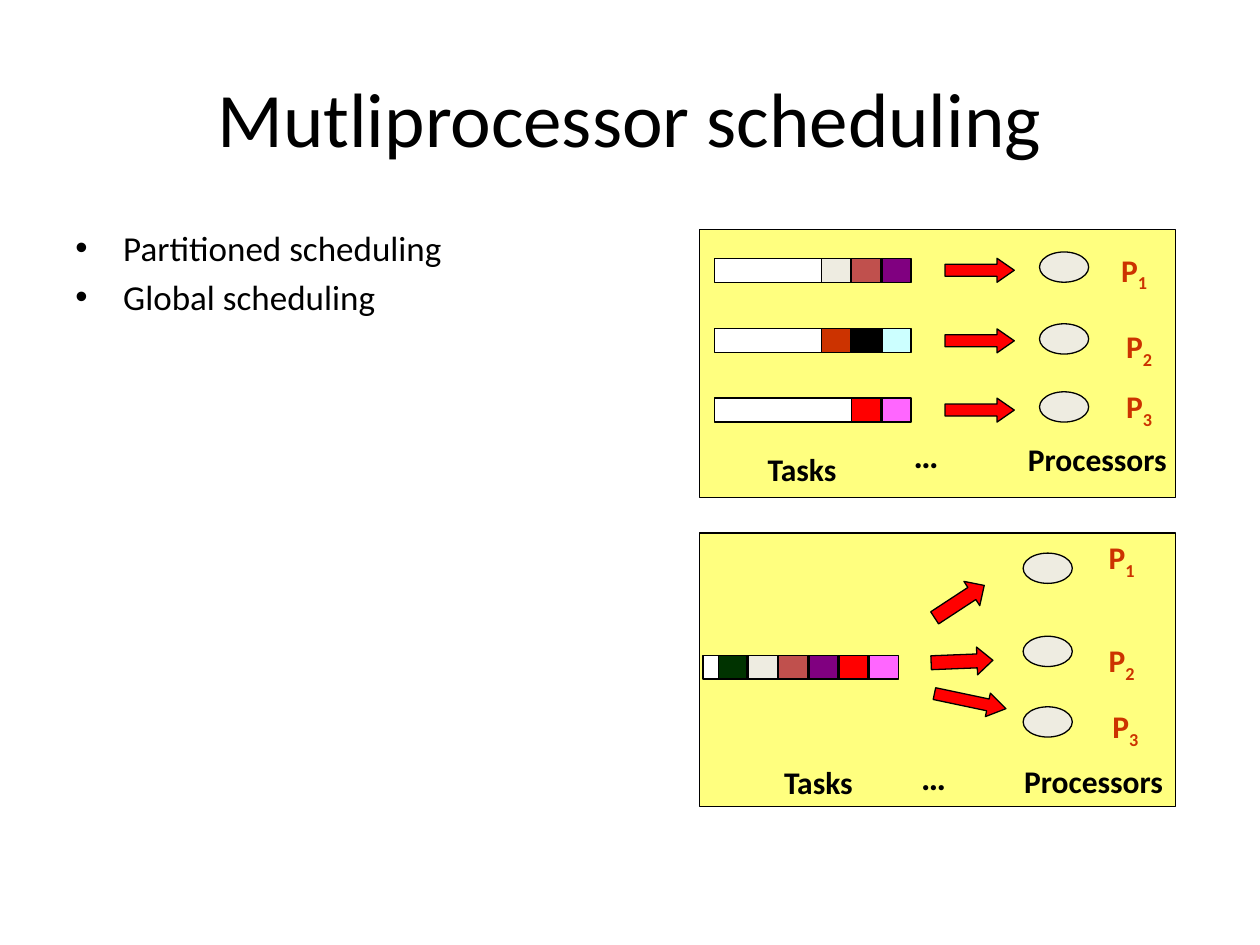
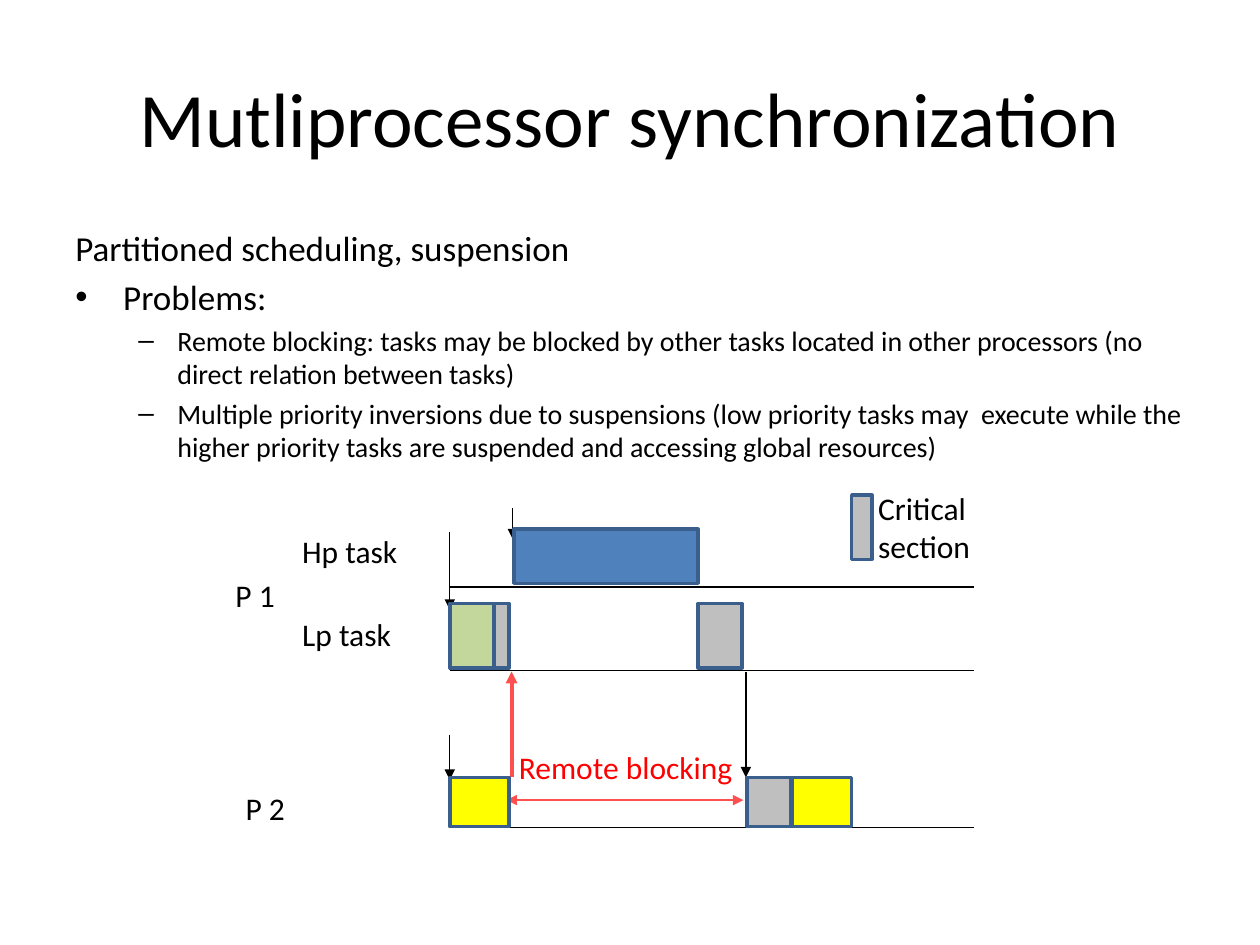
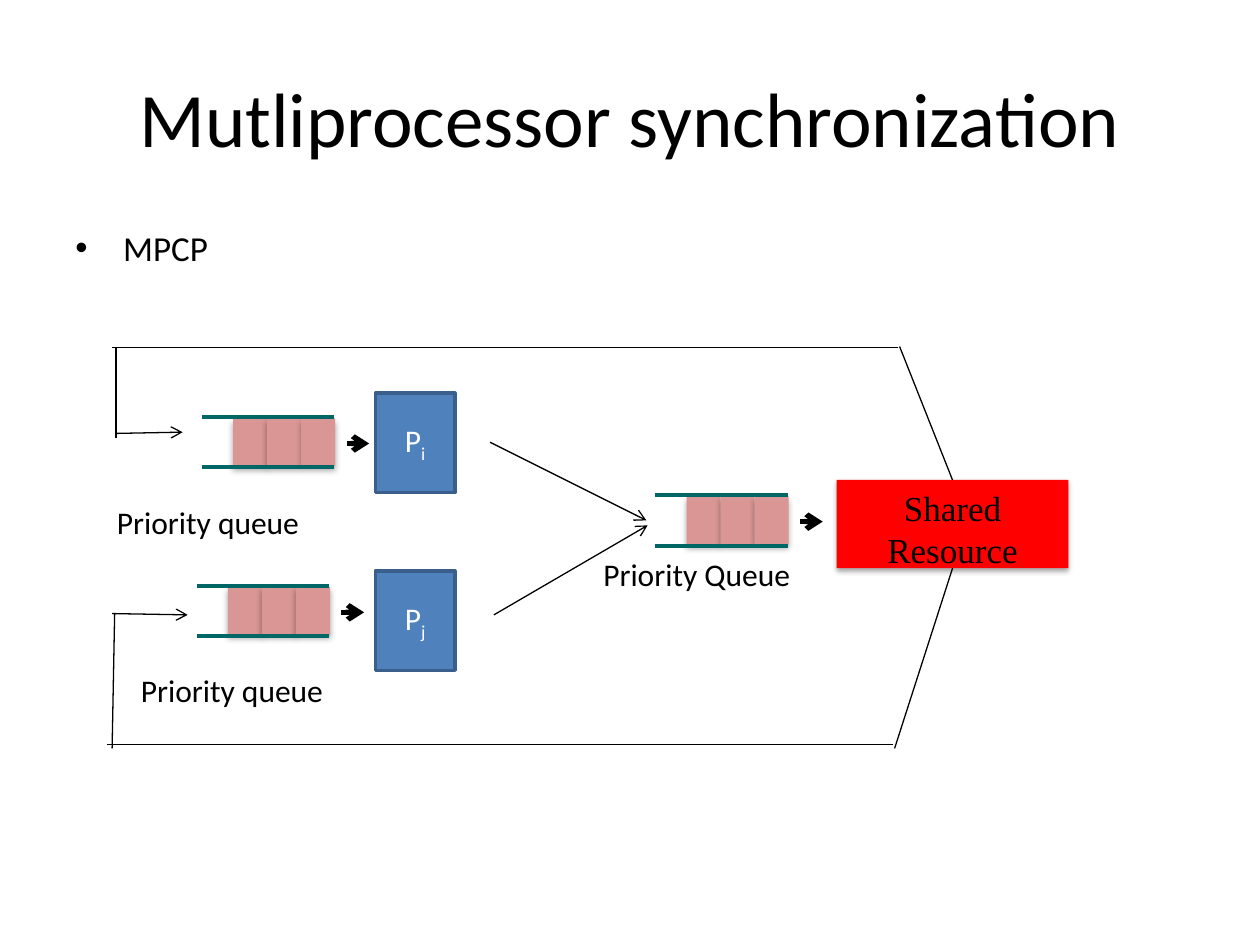
from dataclasses import dataclass

from lxml.etree import SubElement
from pptx import Presentation
from pptx.dml.color import RGBColor
from pptx.enum.shapes import MSO_CONNECTOR as Connector, MSO_SHAPE as Shape
from pptx.enum.text import MSO_ANCHOR as Anchor, MSO_AUTO_SIZE as AutoSize, PP_ALIGN as Align
from pptx.oxml.ns import qn
from pptx.util import Inches, Pt


@dataclass(frozen=True)
class Theme:
    """Colours, fonts and sizes shared by the slides."""
    font: str = "Calibri"
    serif: str = "Times New Roman"
    title_size: int = 44
    body_size: int = 20
    detail_size: int = 16
    label_size: int = 18
    thin: float = 0.75
    medium: float = 2
    rail: float = 2.25
    heavy: float = 3
    black: str = "000000"
    white: str = "FFFFFF"
    yellow: str = "FFFF00"
    red: str = "FF0000"
    rust: str = "CC3300"
    cream: str = "EEECE1"
    brick: str = "C0504D"
    purple: str = "800080"
    pink: str = "FF66FF"
    ice: str = "CCFFFF"
    forest: str = "003300"
    blue: str = "4F81BD"
    border: str = "3A5F8C"
    green: str = "C3D69B"
    grey: str = "BFBFBF"
    coral: str = "FF5050"
    rose: str = "D99694"
    teal: str = "006666"


THEME = Theme()


class Deck:
    """Draws styled elements on the current slide."""

    def __init__(self, theme):
        """Start an empty deck."""
        self.theme = theme
        self.presentation = Presentation()
        self.presentation.slide_width = Inches(10)
        self.presentation.slide_height = Inches(7.5)

    def start_slide(self, heading):
        """Add a slide with its title."""
        self.slide = self.presentation.slides.add_slide(self.presentation.slide_layouts[5])
        title = self.slide.shapes.title
        title.left, title.top, title.width, title.height = map(Inches, (0.5, 0.3, 9, 1.25))
        title.text_frame.vertical_anchor = Anchor.MIDDLE
        self.fill_text(title.text_frame, [heading], self.theme.title_size, align=Align.CENTER)

    def start_group(self):
        """Collect the following elements in a new group."""
        self.canvas = self.slide.shapes.add_group_shape().shapes

    def fill_text(self, frame, lines, size, color=THEME.black, bold=False, align=Align.LEFT, font=THEME.font):
        """Fill a frame line by line; an underscore starts a subscript."""
        for index, line in enumerate(lines):
            paragraph = frame.paragraphs[0] if index == 0 else frame.add_paragraph()
            base, _, subscript = line.partition("_")
            paragraph.text = base
            paragraph.alignment = align
            if subscript:
                lowered = paragraph.add_run()
                lowered.text = subscript
                lowered.font._element.set("baseline", "-25000")
            for run in paragraph.runs:
                run.font.name = font
                run.font.size = Pt(size)
                run.font.bold = bold
                run.font.color.rgb = RGBColor.from_string(color)

    def body(self, items):
        """Add the body text from pairs of bullet and wording."""
        frame = self.slide.shapes.add_textbox(*map(Inches, (0.5, 1.75, 9, 4.95))).text_frame
        frame.word_wrap = True
        self.fill_text(frame, [wording for _, wording in items], self.theme.body_size)
        for paragraph, (bullet, _) in zip(frame.paragraphs, items):
            detail = bullet == "–"
            size = self.theme.detail_size if detail else self.theme.body_size
            paragraph.level = int(detail)
            paragraph.space_before = Pt(0.2 * size)
            paragraph.runs[0].font.size = Pt(size)
            margin, indent = (0.81, -0.31) if detail else (0.38, -0.38)
            properties = paragraph._element.get_or_add_pPr()
            properties.set("marL", str(Inches(margin)))
            properties.set("indent", str(Inches(indent)))
            if bullet:
                SubElement(properties, qn("a:buFont"), typeface="Arial")
                SubElement(properties, qn("a:buChar"), char=bullet)
            else:
                SubElement(properties, qn("a:buNone"))

    def label(self, left, top, width, *lines, height=0.4, size=THEME.label_size, wrap=False, **style):
        """Add a text label."""
        frame = self.canvas.add_textbox(*map(Inches, (left, top, width, height))).text_frame
        frame.word_wrap = wrap
        frame.auto_size = AutoSize.SHAPE_TO_FIT_TEXT
        self.fill_text(frame, lines, size, **style)

    def shape(self, kind, left, top, width, height, fill, line=THEME.black, weight=THEME.thin, opacity=100):
        """Add a filled preset shape, outlined if a line colour is given."""
        figure = self.canvas.add_shape(kind, *map(Inches, (left, top, width, height)))
        figure.shadow.inherit = False
        figure.fill.solid()
        figure.fill.fore_color.rgb = RGBColor.from_string(fill)
        if opacity < 100:
            paint = figure._element.spPr.find(qn("a:solidFill"))[0]
            SubElement(paint, qn("a:alpha"), val=str(opacity * 1000))
        if line:
            figure.line.color.rgb = RGBColor.from_string(line)
            figure.line.width = Pt(weight)
        else:
            figure.line.fill.background()
        return figure

    def block(self, left, top, width, height, fill):
        """Add a rectangle with the blue border."""
        return self.shape(Shape.RECTANGLE, left, top, width, height, fill, self.theme.border, self.theme.medium)

    def shaded(self, left, top, width, height, fill, opacity, blur, distance):
        """Add a borderless rectangle with a shadow below it."""
        figure = self.shape(Shape.RECTANGLE, left, top, width, height, fill, line=None)
        effects = figure._element.spPr.find(qn("a:effectLst"))
        shadow = SubElement(effects, qn("a:outerShdw"), blurRad=str(Pt(blur)), dist=str(Pt(distance)),
                            dir="5400000", rotWithShape="0")
        tint = SubElement(shadow, qn("a:srgbClr"), val=self.theme.black)
        SubElement(tint, qn("a:alpha"), val=str(opacity * 1000))
        return figure

    def arrow(self, left, top, width, height, head, rotation=0):
        """Add a red block arrow."""
        figure = self.shape(Shape.RIGHT_ARROW, left, top, width, height, self.theme.red)
        figure.adjustments[0] = 0.5
        figure.adjustments[1] = head
        figure.rotation = rotation

    def line(self, x1, y1, x2, y2, color=THEME.black, weight=THEME.thin, head=None, tail=None):
        """Add a straight line with optional arrowheads."""
        link = self.canvas.add_connector(Connector.STRAIGHT, *map(Inches, (x1, y1, x2, y2)))
        link.line.color.rgb = RGBColor.from_string(color)
        link.line.width = Pt(weight)
        properties = link._element.spPr
        for tag, kind in (("a:headEnd", head), ("a:tailEnd", tail)):
            if kind:
                SubElement(properties.find(qn("a:ln")), qn(tag), type=kind)
        SubElement(properties, qn("a:effectLst"))

    def panel(self, top, height):
        """Start a group on a pale yellow panel."""
        self.start_group()
        self.shape(Shape.RECTANGLE, 5.55, top, 3.78, height, self.theme.yellow, opacity=50)

    def task_queue(self, left, top, first, colors):
        """Add a white bar with coloured task cells."""
        self.shape(Shape.RECTANGLE, left, top, 1.48, 0.19, self.theme.white)
        for index, color in enumerate(colors):
            self.shape(Shape.RECTANGLE, first + 0.24 * index, top, 0.23, 0.19, color)

    def processors(self, left, tops, name_places):
        """Add the processors and their numbered names."""
        for number, (top, place) in enumerate(zip(tops, name_places), 1):
            self.shape(Shape.OVAL, left, top, 0.39, 0.24, self.theme.cream)
            self.label(*place, 0.46, f"P_{number}", color=self.theme.rust, bold=True)

    def captions(self, dots, tasks, processors):
        """Add the bold captions at the foot of a panel."""
        style = dict(wrap=True, bold=True, align=Align.CENTER)
        self.label(*dots, 0.62, "…", height=0.43, size=self.theme.body_size, **style)
        self.label(*tasks, 1.05, "Tasks", **style)
        self.label(*processors, 1.6, "Processors", **style)

    def priority_queue(self, left, top):
        """Add three waiting cells between rails and an outgoing arrow."""
        for index in range(3):
            self.shaded(left + 0.25 + 0.27 * index, top + 0.01, 0.27, 0.38, self.theme.rose, 32, 3.5, 2.2)
        for rail in (top, top + 0.4):
            self.line(left, rail, left + 1.05, rail, self.theme.teal, self.theme.rail)
        self.line(left + 1.15, top + 0.21, left + 1.33, top + 0.21, weight=self.theme.heavy, tail="arrow")


def scheduling(deck):
    """Build the slide on partitioned and global scheduling."""
    t = deck.theme
    deck.start_slide("Mutliprocessor scheduling")
    deck.body([("•", "Partitioned scheduling"), ("•", "Global scheduling")])

    deck.panel(4.23, 2.17)
    deck.task_queue(5.58, 5.2, 5.7, (t.forest, t.cream, t.brick, t.purple, t.red, t.pink))
    deck.arrow(7.38, 4.66, 0.47, 0.23, 0.51, 326.8)
    deck.arrow(7.39, 5.14, 0.49, 0.22, 0.57, 357.7)
    deck.arrow(7.41, 5.47, 0.58, 0.19, 0.77, 11.9)
    deck.processors(8.12, (4.39, 5.05, 5.61), ((8.7, 4.22), (8.7, 5.04), (8.73, 5.56)))
    deck.captions((7.1, 5.95), (5.97, 6.01), (7.88, 6))

    deck.panel(1.82, 2.13)
    queues = ((2.05, (t.cream, t.brick, t.purple)),
              (2.61, (t.rust, t.black, t.ice)),
              (3.16, (t.red, t.pink)))
    for top, colors in queues:
        deck.task_queue(5.67, top, 7.24 - 0.24 * len(colors), colors)
        deck.arrow(7.5, top, 0.55, 0.19, 0.72)
    deck.processors(8.25, (2, 2.57, 3.11), ((8.8, 1.94), (8.84, 2.55), (8.84, 3.02)))
    deck.captions((7.04, 3.39), (5.84, 3.52), (7.91, 3.44))


def remote_blocking(deck):
    """Build the slide on suspension and remote blocking."""
    t = deck.theme
    deck.start_slide("Mutliprocessor synchronization")
    deck.body([
        ("", "Partitioned scheduling, suspension"),
        ("•", "Problems:"),
        ("–", "Remote blocking: tasks may be blocked by other tasks located in other processors "
              "(no direct relation between tasks)"),
        ("–", "Multiple priority inversions due to suspensions (low priority tasks may  execute while "
              "the higher priority tasks are suspended and accessing global resources)"),
    ])

    deck.start_group()
    start, end = 3.57, 7.73
    for baseline in (4.66, 5.32, 6.57):
        deck.line(start, baseline, end, baseline)
    for top, bottom in ((4.22, 5.32), (5.83, 6.57)):
        deck.line(start, top, start, bottom)
    for x, top in ((4.07, 4.03), (start, 4.59), (start, 5.94)):
        deck.line(x, top, x, top + 0.25, tail="triangle")
    deck.line(4.06, 6.17, 4.06, 5.33, t.coral, t.rail, tail="triangle")
    deck.line(5.92, 5.33, 5.92, 6.17, tail="triangle")
    deck.line(4.02, 6.35, 5.9, 6.35, t.coral, head="triangle", tail="triangle")

    deck.label(2.3, 4.17, 3, "Hp task", wrap=True)
    deck.label(2.3, 4.83, 3, "Lp task", wrap=True)
    deck.label(4.02, 5.89, 1.98, "Remote blocking", color=t.red)
    deck.label(1.77, 4.52, 0.52, "P 1")
    deck.label(1.85, 6.21, 0.52, "P 2")
    deck.label(6.87, 3.83, 0.95, "Critical", "section", height=0.7)

    deck.block(4.08, 4.2, 1.46, 0.43, t.blue)
    low_priority = ((start, 0.35, t.green), (3.92, 0.12, t.grey), (5.54, 0.35, t.grey))
    for left, width, color in low_priority:
        deck.block(left, 4.79, width, 0.51, color)
    deck.block(6.76, 3.93, 0.16, 0.51, t.grey)
    second_processor = ((5.93, 0.35, t.grey), (start, 0.47, t.yellow), (6.29, 0.47, t.yellow))
    for left, width, color in second_processor:
        deck.block(left, 6.17, width, 0.39, color)


def priority_ceiling(deck):
    """Build the slide on the queues of the MPCP protocol."""
    t = deck.theme
    deck.start_slide("Mutliprocessor synchronization")
    deck.body([("•", "MPCP")])

    deck.start_group()
    deck.label(0.83, 3.94, 1.66, "Priority queue")
    deck.label(1.02, 5.28, 1.66, "Priority queue")
    deck.line(3.89, 3.51, 5.13, 4.13, tail="arrow")
    deck.line(3.92, 4.88, 5.14, 4.17, tail="arrow")
    deck.priority_queue(5.2, 3.93)
    deck.label(4.69, 4.36, 1.7, "Priority Queue")

    resource = deck.shaded(6.64, 3.81, 1.84, 0.7, t.red, 35, 3.1, 1.8).text_frame
    resource.vertical_anchor = Anchor.TOP
    deck.fill_text(resource, ["Shared", "Resource"], t.body_size, align=Align.CENTER, font=t.serif)

    feedback = ((7.1, 5.94, 7.56, 4.51), (7.56, 3.81, 7.14, 2.75),
                (7.13, 2.76, 0.89, 2.76), (7.09, 5.91, 0.85, 5.91),
                (0.92, 2.75, 0.92, 3.48), (0.89, 5.94, 0.91, 4.87))
    for ends in feedback:
        deck.line(*ends)
    deck.line(0.89, 4.87, 1.49, 4.88, tail="arrow")
    deck.line(0.92, 3.44, 1.45, 3.43, tail="arrow")

    for top, name in ((3.12, "P_i"), (4.53, "P_j")):
        processor = deck.block(2.98, top, 0.63, 0.79, t.blue).text_frame
        processor.vertical_anchor = Anchor.MIDDLE
        deck.fill_text(processor, [name], t.label_size, t.white, align=Align.CENTER)
    deck.priority_queue(1.6, 3.31)
    deck.priority_queue(1.56, 4.65)


deck = Deck(THEME)
scheduling(deck)
remote_blocking(deck)
priority_ceiling(deck)
deck.presentation.save("out.pptx")
